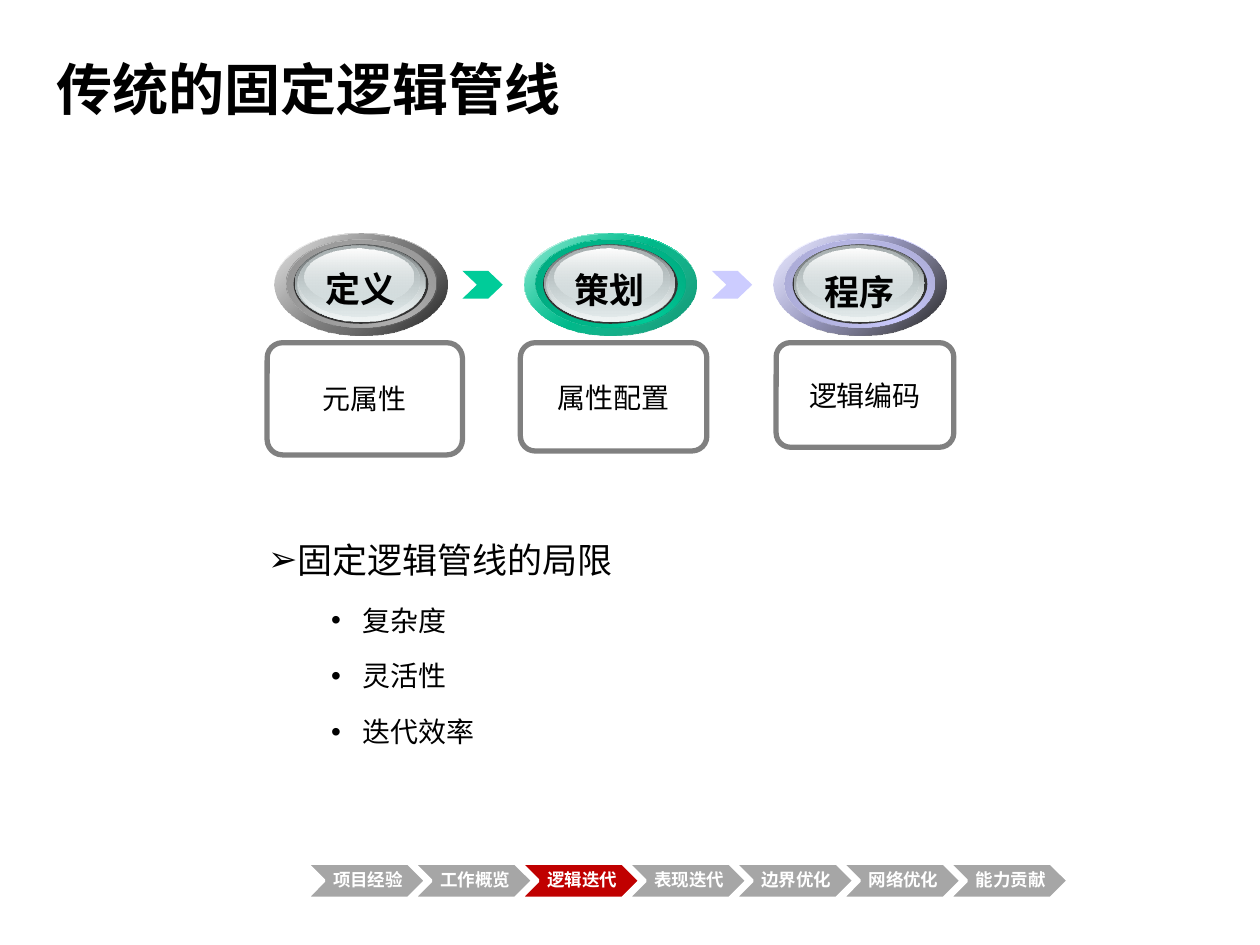
import pptx
import pptx.util
import pptx.oxml
import pptx.oxml.ns
import pptx.dml.color
import pptx.enum.shapes
import pptx.enum.text
from dataclasses import dataclass

Inches = pptx.util.Inches
Pt = pptx.util.Pt
Kind = pptx.enum.shapes.MSO_SHAPE
Align = pptx.enum.text.PP_ALIGN
Anchor = pptx.enum.text.MSO_ANCHOR
SPACE = pptx.oxml.ns.nsdecls("a")


@dataclass(frozen=True)
class Theme:
    font: str = "Noto Sans CJK SC"
    serif: str = "Times New Roman"
    black: str = "000000"
    white: str = "FFFFFF"
    frame: str = "808080"
    core: str = "333333"
    mist: str = "D6E1E2"
    idle: str = "A6A6A6"
    live: str = "C00000"
    title: int = 32
    head: int = 20
    body: int = 16
    small: int = 10


def apply(item, values):
    for name, value in values.items():
        setattr(item, name, value)


def color(value):
    return pptx.dml.color.RGBColor.from_string(value)


class Deck:
    def __init__(self, slide, theme):
        self.slide = slide
        self.theme = theme

    def shape(self, kind, box, fill=None, line=None, width=0, adjust=None):
        item = self.slide.shapes.add_shape(kind, *map(Inches, box))
        item.shadow.inherit = False
        if adjust is not None:
            item.adjustments[0] = adjust
        if fill:
            item.fill.solid()
            item.fill.fore_color.rgb = color(fill)
        else:
            item.fill.background()
        if line:
            item.line.color.rgb = color(line)
            item.line.width = Pt(width)
        else:
            item.line.fill.background()
        return item

    def blend(self, box, stops, angle):
        item = self.shape(Kind.OVAL, box)
        marks = "".join(
            f'<a:gs pos="{place * 1000}"><a:srgbClr val="{tone}">'
            f'<a:alpha val="{alpha * 1000}"/></a:srgbClr></a:gs>'
            for place, tone, alpha in stops)
        fill = pptx.oxml.parse_xml(
            f'<a:gradFill {SPACE} rotWithShape="1"><a:gsLst>{marks}</a:gsLst>'
            f'<a:lin ang="{angle * 60000}" scaled="1"/></a:gradFill>')
        props = item._element.spPr
        props.replace(props.find(pptx.oxml.ns.qn("a:noFill")), fill)

    def words(self, para, text, size, bold=False, tone=None, font=None, **form):
        apply(para, form)
        run = para.add_run()
        run.text = text
        apply(run.font, {"size": Pt(size), "bold": bold,
                         "name": font or self.theme.font})
        run.font.color.rgb = color(tone or self.theme.black)
        run._r.get_or_add_rPr().find(pptx.oxml.ns.qn("a:latin")).addnext(
            pptx.oxml.parse_xml(f'<a:ea {SPACE} typeface="{self.theme.font}"/>'))

    def text(self, box, text, size, frame=None, **form):
        item = self.slide.shapes.add_textbox(*map(Inches, box))
        apply(item.text_frame, {"word_wrap": True, **(frame or {})})
        self.words(item.text_frame.paragraphs[0], text, size, **form)

    def card(self, box, text):
        item = self.shape(Kind.ROUNDED_RECTANGLE, box, line=self.theme.frame,
                          width=3, adjust=0.137)
        apply(item.text_frame, {"word_wrap": True,
                                "vertical_anchor": Anchor.MIDDLE})
        self.words(item.text_frame.paragraphs[0], text, self.theme.body,
                   alignment=Align.CENTER)

    def badge(self, left, tone, shade, edge, rim):
        top, look = 1.85, self.theme
        outer, ring = (0, 0, 1.37, 0.81), (0.09, 0.05, 1.19, 0.7)

        def place(box):
            return left + box[0], top + box[1], box[2], box[3]

        def layers(rows):
            for box, stops, angle in rows:
                self.blend(place(box), stops, angle)

        layers([
            (outer, [(0, look.white, 100), (50, tone, 100),
                     (100, look.white, 100)], 45),
            (outer, [(0, tone, 32), (100, *shade)], 45),
            (ring, [(0, edge, 100), (50, tone, 100), (100, edge, 100)], 315),
            (ring, [(0, rim, 100), (100, tone, 0)], 45)])
        self.shape(Kind.OVAL, place((0.15, 0.09, 1.07, 0.63)), look.core)
        layers([
            ((0.16, 0.09, 1.04, 0.61),
             [(0, "636869", 100), (100, look.mist, 100)], 90),
            ((0.18, 0.1, 1.01, 0.6),
             [(0, look.mist, 0), (100, "F1F5F5", 100)], 90),
            ((0.19, 0.1, 0.96, 0.56),
             [(0, "AAB2B3", 100), (100, look.mist, 48)], 90),
            ((0.24, 0.12, 0.86, 0.45),
             [(0, look.white, 100), (100, look.mist, 38)], 90)])

    def bullet(self, para, text, size, mark, left=0, hang=0):
        self.words(para, text, size, line_spacing=1.5,
                   space_before=Pt(size * 0.2))
        props = para._p.get_or_add_pPr()
        props.set("marL", str(Inches(left)))
        props.set("indent", str(Inches(hang)))
        props.append(pptx.oxml.parse_xml(f'<a:buFont {SPACE} typeface="Arial"/>'))
        props.append(pptx.oxml.parse_xml(f'<a:buChar {SPACE} char="{mark}"/>'))

    def list(self, box, head, points):
        item = self.slide.shapes.add_textbox(*map(Inches, box))
        frame = item.text_frame
        frame.word_wrap = True
        self.bullet(frame.paragraphs[0], head, self.theme.head, "➢")
        for text in points:
            self.bullet(frame.add_paragraph(), text, self.theme.body, "•",
                        0.75, -0.25)

    def step(self, box, text, fill):
        look = self.theme
        self.shape(Kind.CHEVRON, box, fill, look.white, 2)
        thin = Inches(0.01)
        frame = {"vertical_anchor": Anchor.MIDDLE, "margin_left": Inches(0.04),
                 "margin_right": thin, "margin_top": thin, "margin_bottom": thin}
        self.text(box, text, look.small, frame, bold=True, tone=look.white,
                  font=look.serif, alignment=Align.CENTER, line_spacing=0.9)


def main():
    show = pptx.Presentation()
    apply(show, {"slide_width": Inches(10), "slide_height": Inches(7.5)})
    look = Theme()
    deck = Deck(show.slides.add_slide(show.slide_layouts[6]), look)

    deck.text((0.35, 0.24, 6.57, 0.92), "传统的固定逻辑管线", look.title,
              {"vertical_anchor": Anchor.MIDDLE}, bold=True)

    for left, width, height, text in [(2.12, 1.55, 0.89, "元属性"),
                                      (4.13, 1.48, 0.86, "属性配置"),
                                      (6.16, 1.41, 0.83, "逻辑编码")]:
        deck.card((left, 2.72, width, height), text)

    for left, tone in [(3.67, "00CC99"), (5.65, "CCCCFF")]:
        deck.shape(Kind.CHEVRON, (left, 2.15, 0.32, 0.22), tone, adjust=0.525)

    dark = (look.black, 90)
    stages = [("定义", 2.07, "B2B2B2", dark, "888888", "929292"),
              ("策划", 2.08, "00CC99", ("00926D", 100), "009C75", "00A77E"),
              ("程序", 2.1, "CCCCFF", dark, "9C9CC3", "A7A7D1")]
    for index, (text, top, *tones) in enumerate(stages):
        left = 2.18 + 1.98 * index
        deck.badge(left, *tones)
        deck.text((left + 0.3, top, 0.76, 0.44), text, look.head,
                  {"word_wrap": False}, bold=True, alignment=Align.CENTER)

    deck.list((2.03, 4.06, 3.53, 2.23), "固定逻辑管线的局限",
              ["复杂度", "灵活性", "迭代效率"])

    steps = ["项目经验", "工作概览", "逻辑迭代", "表现迭代", "边界优化",
             "网络优化", "能力贡献"]
    for index, text in enumerate(steps):
        fill = look.live if text == "逻辑迭代" else look.idle
        deck.step((2.43 + 0.85 * index, 6.85, 0.95, 0.28), text, fill)

    show.save("out.pptx")


if __name__ == "__main__":
    main()
